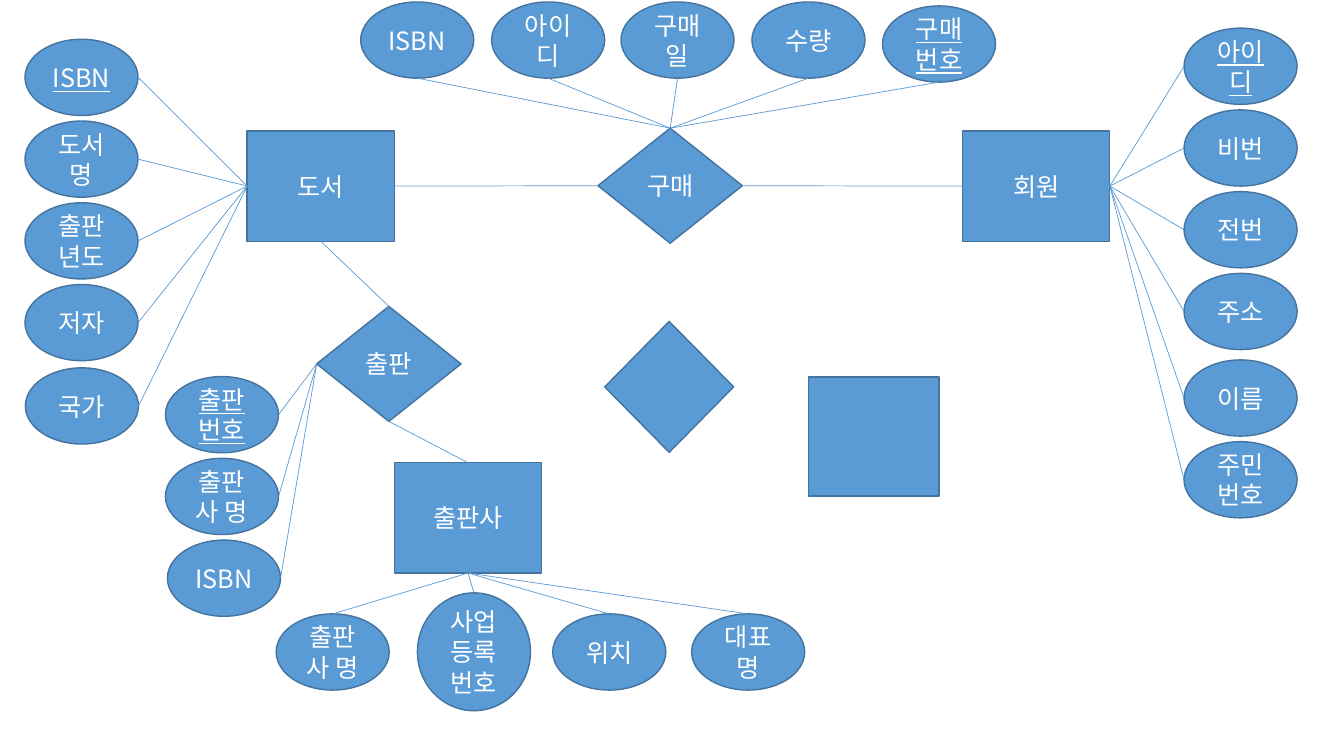
from lxml.etree import SubElement
from pptx import Presentation
from pptx.dml.color import RGBColor
from pptx.enum.shapes import MSO_CONNECTOR, MSO_SHAPE
from pptx.enum.text import MSO_ANCHOR, PP_ALIGN
from pptx.oxml.ns import qn
from pptx.util import Cm, Pt

BLUE = RGBColor(0x5B, 0x9B, 0xD5)
EDGE = RGBColor(0x43, 0x73, 0x9E)
WHITE = RGBColor(0xFF, 0xFF, 0xFF)
FACE = "Noto Sans CJK KR"
FONT = {"name": FACE, "size": Pt(18)}
RECT, ROMB, OVAL = MSO_SHAPE.RECTANGLE, MSO_SHAPE.DIAMOND, MSO_SHAPE.OVAL

# Sizes and steps in cm
TABLE = (3.71, 2.78)
LINK = (3.64, 2.9)
FIELD = (2.85, 1.92)
STEP = 2.06

# Points on a box, as shares of its width and height
TOP, LEFT, BASE, RIGHT = (0.5, 0), (0, 0.5), (0.5, 1), (1, 0.5)
FACING = {TOP: BASE, BASE: TOP, LEFT: RIGHT, RIGHT: LEFT}


def point(box, side):
    """Return the middle of one side of a box."""
    x, y, wide, high = box
    return x + wide * side[0], y + high * side[1]


def node(slide, kind, box, text="", key=False):
    """Draw one node, underlined if it is a key; return its box."""
    shape = slide.shapes.add_shape(kind, *map(Cm, box))
    shape.shadow.inherit = False
    shape.fill.solid()
    shape.fill.fore_color.rgb = BLUE
    shape.line.color.rgb = EDGE
    shape.line.width = Pt(1)
    if text:
        frame = shape.text_frame
        frame.word_wrap = True
        frame.vertical_anchor = MSO_ANCHOR.MIDDLE
        para = frame.paragraphs[0]
        para.alignment = PP_ALIGN.CENTER
        run = para.add_run()
        run.text = text
        for name, value in {**FONT, "underline": key or None}.items():
            setattr(run.font, name, value)
        run.font.color.rgb = WHITE
        SubElement(run.font._element, qn("a:ea"), typeface=FACE)
    return box


def join(slide, start, out, end, into):
    """Draw a thin line from a side of one box to a side of another."""
    ends = point(start, out) + point(end, into)
    line = slide.shapes.add_connector(MSO_CONNECTOR.STRAIGHT, *map(Cm, ends))
    line.line.color.rgb = BLUE
    line.line.width = Pt(0.5)
    SubElement(line._element.spPr, qn("a:effectLst"))


def region(slide, kind, box, name, side, fields):
    """Draw a hub in its box and fan out fields placed from its corner."""
    node(slide, kind, box, name)
    for text, right, down, *more in fields:
        high = more[1] if len(more) > 1 else FIELD[1]
        spot = (box[0] + right, box[1] + down, FIELD[0], high)
        node(slide, OVAL, spot, text, bool(more and more[0]))
        join(slide, box, side, spot, FACING[side])
    return box


def spares(slide, box):
    """Draw the empty diamond and square inside their box."""
    x, y = box[:2]
    node(slide, ROMB, (x, y, 3.25, 3.3))
    node(slide, RECT, (x + 5.13, y + 1.4, 3.3, 3))


def column(names, right, down, key=None):
    """List fields in one column at an equal step."""
    return [(name, right, down + STEP * i, name == key)
            for i, name in enumerate(names)]


def diagram(slide):
    """Draw all tables, links and fields of the book shop."""
    book = region(
        slide, RECT, (6.23, 3.3, *TABLE), "도서", LEFT,
        column(["ISBN", "도서명", "출판 년도", "저자"], -5.6, -2.31, "ISBN")
        + [("국가", -5.59, 5.97)])
    member = region(
        slide, RECT, (24.26, 3.3, *TABLE), "회원", RIGHT,
        column(["아이디", "비번", "전번", "주소"], 5.58, -2.59, "아이디")
        + column(["이름", "주민번호"], 5.58, 5.77))
    order = region(
        slide, ROMB, (15.07, 3.23, *LINK), "구매", TOP,
        [("ISBN", -5.98, -3.18), ("아이디", -2.68, -3.18),
         ("구매일", 0.58, -3.18), ("수량", 3.88, -3.18),
         ("구매 번호", 7.17, -3.08, True)])
    press = region(
        slide, RECT, (9.94, 11.66, *TABLE), "출판사", BASE,
        [("출판사 명", -2.98, 3.81), ("사업등록번호", 0.58, 3.28, False, 2.97),
         ("위치", 3.99, 3.81), ("대표 명", 7.49, 3.81)])
    issue = region(
        slide, ROMB, (7.98, 7.72, *LINK), "출판", LEFT,
        column(["출판 번호", "출판사 명"], -3.81, 1.77, "출판 번호")
        + [("ISBN", -3.76, 5.89)])
    for start, out, end, into in [
            (book, RIGHT, order, LEFT), (order, RIGHT, member, LEFT),
            (book, BASE, issue, TOP), (issue, BASE, press, TOP)]:
        join(slide, start, out, end, into)
    spares(slide, (15.24, 8.1, 8.43, 4.4))


deck = Presentation()
deck.slide_width, deck.slide_height = Cm(33.87), Cm(19.05)
diagram(deck.slides.add_slide(deck.slide_layouts[6]))
deck.save("out.pptx")
